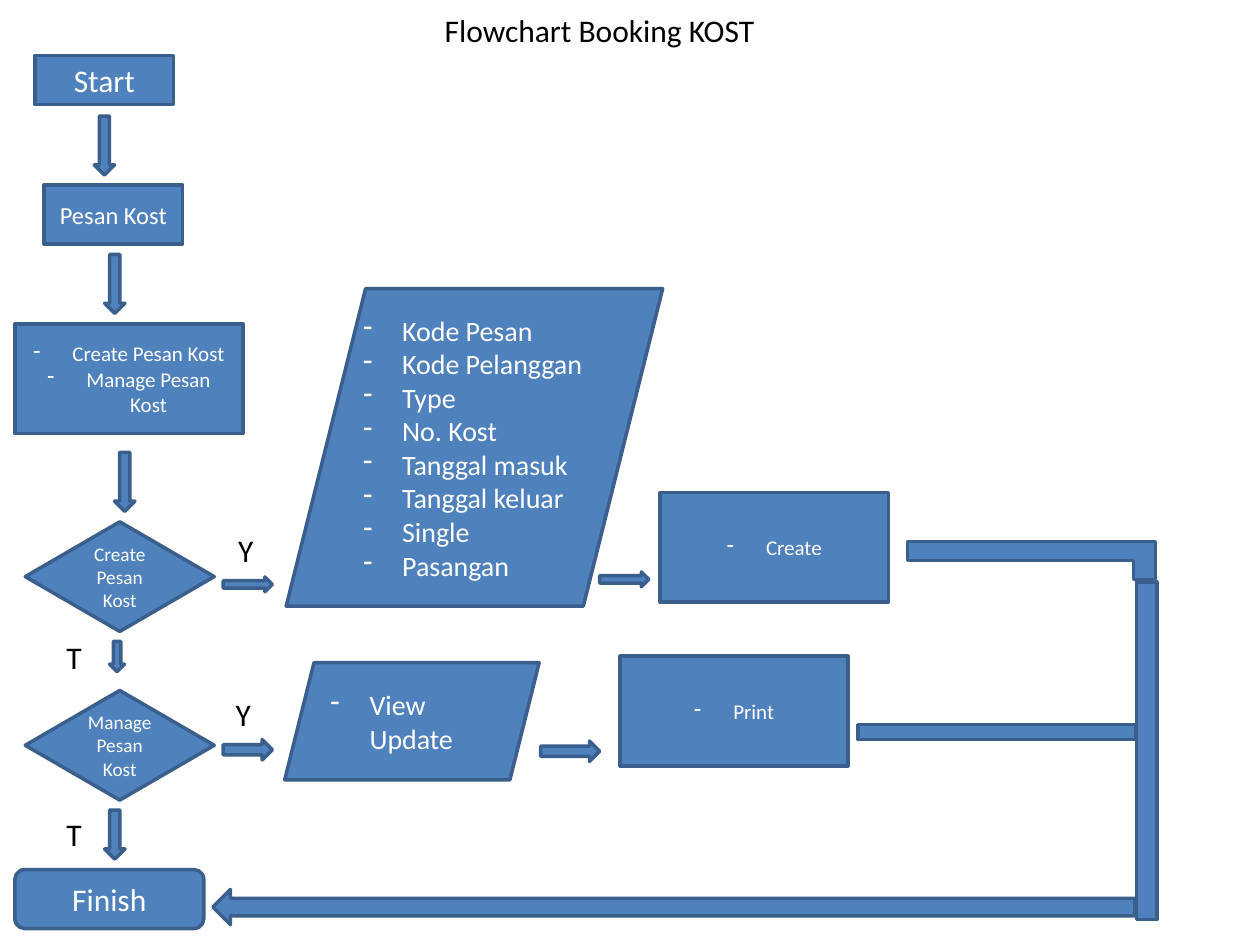
from lxml.etree import SubElement
from pptx import Presentation
from pptx.dml.color import RGBColor
from pptx.enum.shapes import MSO_SHAPE as Shape
from pptx.enum.text import MSO_ANCHOR as Anchor, MSO_AUTO_SIZE as AutoSize, PP_ALIGN as Align
from pptx.oxml.ns import qn
from pptx.util import Cm, Pt

COLORS = {"fill": "4F81BD", "line": "3A5F8C", "light": "FFFFFF", "dark": "000000"}
FONT = "Calibri"
INDENT = Cm(0.79)

# All places are left, top, width, height in cm
TITLE = ("Flowchart Booking KOST", (8.71, 0.1, 6.81, 1.02))

# Steps: kind, place, font size, lines, bulleted, alignment
STEPS = [
    (Shape.RECTANGLE, (0.71, 1.12, 2.79, 0.99), 18, ["Start"], False, Align.CENTER),
    (Shape.RECTANGLE, (0.89, 3.73, 2.79, 1.19), 14, ["Pesan Kost"], False, Align.CENTER),
    (Shape.RECTANGLE, (0.3, 6.53, 4.6, 2.21), 12,
     ["Create Pesan Kost", "Manage Pesan Kost"], True, Align.CENTER),
    (Shape.DIAMOND, (0.51, 10.52, 3.81, 2.21), 11, ["Create Pesan Kost"], False, Align.CENTER),
    (Shape.DIAMOND, (0.51, 13.92, 3.81, 2.21), 11, ["Manage Pesan Kost"], False, Align.CENTER),
    (Shape.ROUNDED_RECTANGLE, (0.3, 17.53, 3.81, 1.19), 18, ["Finish"], False, Align.CENTER),
    (Shape.PARALLELOGRAM, (5.77, 5.82, 7.59, 6.4), 16,
     ["Kode Pesan", "Kode Pelanggan", "Type", "No. Kost", "Tanggal masuk",
      "Tanggal keluar", "Single", "Pasangan"], True, Align.LEFT),
    (Shape.PARALLELOGRAM, (5.74, 13.36, 5.13, 2.36), 16, ["View Update"], True, Align.LEFT),
    (Shape.RECTANGLE, (13.31, 9.93, 4.6, 2.21), 12, ["Create"], True, Align.CENTER),
    (Shape.RECTANGLE, (12.5, 13.23, 4.6, 2.21), 12, ["Print"], True, Align.CENTER),
]

DOWN_ARROWS = [
    (1.9, 2.34, 0.41, 1.19), (2.11, 5.13, 0.41, 1.19), (2.31, 9.12, 0.41, 1.19),
    (2.21, 12.93, 0.3, 0.61), (2.11, 16.33, 0.41, 0.99),
]
RIGHT_ARROWS = [
    (4.5, 11.63, 0.99, 0.3), (4.5, 14.91, 0.99, 0.41),
    (12.09, 11.53, 0.99, 0.3), (10.9, 14.94, 1.19, 0.41),
]

# Return path to Finish: kind, place, rotation, adjustments
RETURN_PATH = [
    (Shape.CORNER, (18.29, 10.92, 5, 0.76), 180, (0.5, 0.58)),
    (Shape.FLOWCHART_PROCESS, (22.91, 11.73, 0.41, 6.81), 0, ()),
    (Shape.FLOWCHART_PROCESS, (17.3, 14.61, 5.59, 0.3), 0, ()),
    (Shape.RIGHT_ARROW, (4.29, 17.93, 18.59, 0.71), 180, ()),
]

# Branch labels: text, left, top
LABELS = [("Y", 4.55, 10.59), ("T", 1.09, 12.73), ("T", 1.09, 16.31), ("Y", 4.5, 13.89)]
LABEL_SIZE = (0.81, 1.02)


def color(name):
    return RGBColor.from_string(COLORS[name])


def cm(place):
    return [Cm(v) for v in place]


def format_text(tf, size, color_name, align=Align.LEFT):
    for p in tf.paragraphs:
        p.alignment = align
        for r in p.runs:
            r.font.name = FONT
            r.font.size = Pt(size)
            r.font.color.rgb = color(color_name)


def add_dash(p):
    pPr = p._p.get_or_add_pPr()
    pPr.set("marL", str(INDENT))
    pPr.set("indent", str(-INDENT))
    SubElement(pPr, qn("a:buFontTx"))
    SubElement(pPr, qn("a:buChar"), char="-")


def add_block(s, kind, place, rotation=0, adjustments=()):
    sp = s.shapes.add_shape(kind, *cm(place))
    sp.shadow.inherit = False
    sp.fill.solid()
    sp.fill.fore_color.rgb = color("fill")
    sp.line.color.rgb = color("line")
    sp.line.width = Pt(2)
    sp.rotation = rotation
    for i, value in enumerate(adjustments):
        sp.adjustments[i] = value
    return sp


def add_step(s, kind, place, size, lines, bulleted, align):
    tf = add_block(s, kind, place).text_frame
    tf.text = "\n".join(lines)
    tf.word_wrap = True
    tf.vertical_anchor = Anchor.MIDDLE
    format_text(tf, size, "light", align)
    if bulleted:
        for p in tf.paragraphs:
            add_dash(p)


def fill_label(sp, text):
    tf = sp.text_frame
    tf.text = text
    tf.word_wrap = False
    tf.auto_size = AutoSize.SHAPE_TO_FIT_TEXT
    tf.vertical_anchor = Anchor.TOP
    format_text(tf, 18, "dark")


def main():
    prs = Presentation()
    prs.slide_width, prs.slide_height = Cm(25.4), Cm(19.05)
    s = prs.slides.add_slide(prs.slide_layouts[5])

    # Title
    text, place = TITLE
    title = s.shapes.title
    title.left, title.top, title.width, title.height = cm(place)
    fill_label(title, text)

    # Steps and the arrows between them
    for step in STEPS:
        add_step(s, *step)
    for kind, places in ((Shape.DOWN_ARROW, DOWN_ARROWS), (Shape.RIGHT_ARROW, RIGHT_ARROWS)):
        for place in places:
            add_block(s, kind, place)

    # Return path
    for part in RETURN_PATH:
        add_block(s, *part)

    # Branch labels
    for text, left, top in LABELS:
        fill_label(s.shapes.add_textbox(*cm((left, top, *LABEL_SIZE))), text)

    prs.save("out.pptx")


if __name__ == "__main__":
    main()
